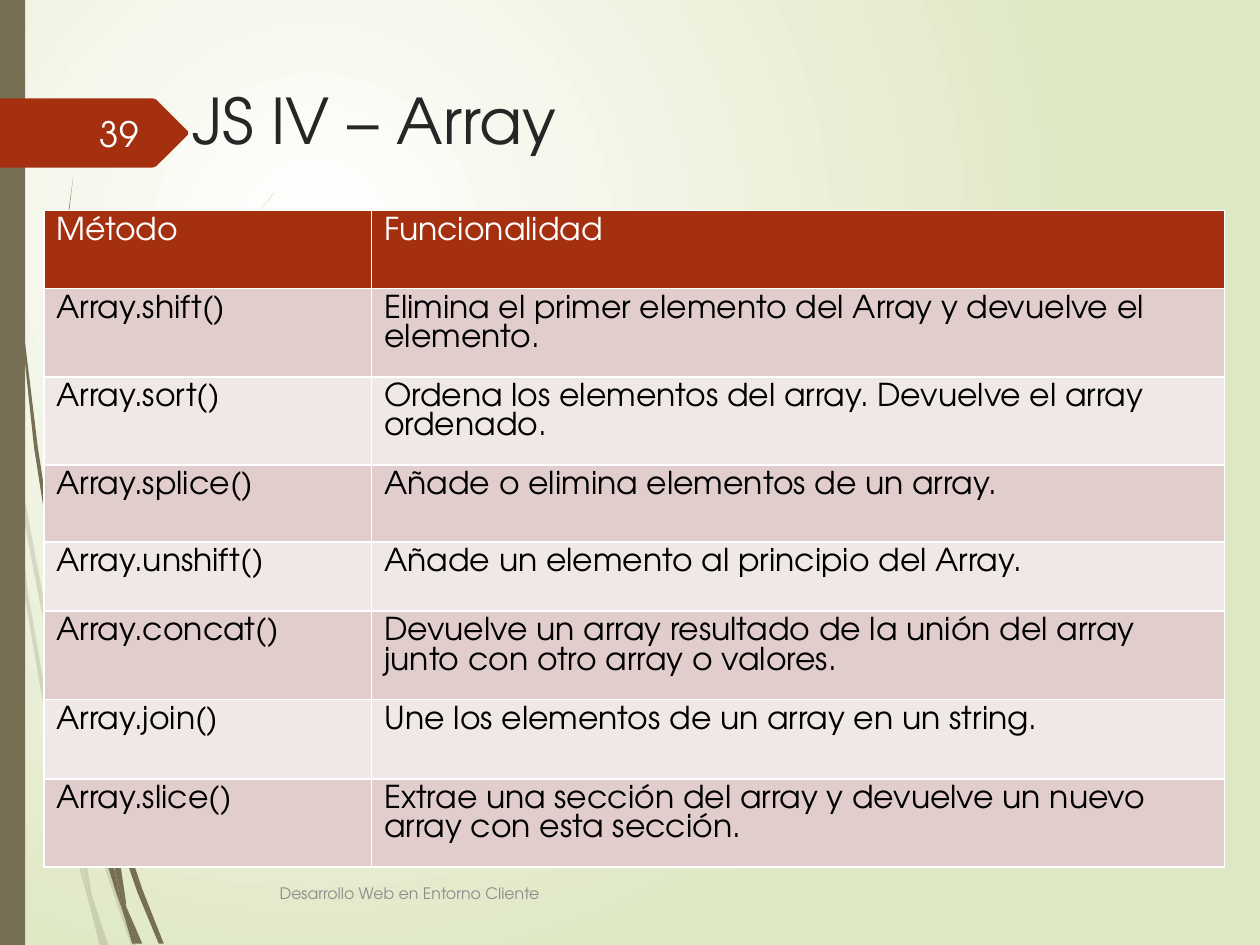
from lxml import etree
from pptx import Presentation
from pptx.dml.color import RGBColor
from pptx.enum import shapes, text
from pptx.oxml import parse_xml
from pptx.oxml.ns import qn
from pptx.util import Inches, Pt

FONT = "TeX Gyre Adventor"
OLIVE = RGBColor(0x76, 0x6F, 0x54)
RUST = RGBColor(0xA5, 0x30, 0x10)
WHITE = RGBColor(0xFF, 0xFF, 0xFF)
BLACK = RGBColor(0, 0, 0)
INK = RGBColor(0x26, 0x26, 0x26)
GREY = RGBColor(0x8C, 0x8C, 0x8C)
ROSE = RGBColor(0xE1, 0xCD, 0xCC)
PALE = RGBColor(0xF0, 0xE8, 0xE7)
LIME = RGBColor(0xDF, 0xE8, 0xC4)
NS = "http://schemas.openxmlformats.org/drawingml/2006/main"

deck = Presentation()
deck.slide_width, deck.slide_height = Inches(10), Inches(7.5)
slide = deck.slides.add_slide(deck.slide_layouts[6])

back = slide.background.fill
back.solid()
back.fore_color.rgb = LIME
flat = slide.background._cSld.find(".//" + qn("a:solidFill"))
flat.getparent().replace(flat, parse_xml(
    f'<a:gradFill xmlns:a="{NS}" rotWithShape="1"><a:gsLst>'
    f'<a:gs pos="0"><a:srgbClr val="{WHITE}"/></a:gs>'
    f'<a:gs pos="100000"><a:srgbClr val="{LIME}"/></a:gs></a:gsLst>'
    '<a:path path="circle"><a:fillToRect l="50000" t="50000" r="100000" b="100000"/></a:path>'
    '</a:gradFill>'))


def draw(points, color, alpha=100):
    pen = slide.shapes.build_freeform(Inches(points[0][0]), Inches(points[0][1]))
    pen.add_line_segments([(Inches(x), Inches(y)) for x, y in points[1:]])
    shape = pen.convert_to_shape()
    shape.shadow.inherit = False
    shape.line.fill.background()
    shape.fill.solid()
    shape.fill.fore_color.rgb = color
    if alpha < 100:
        tint = shape.fill._xPr.find(".//" + qn("a:srgbClr"))
        etree.SubElement(tint, qn("a:alpha")).set("val", str(alpha * 1000))


def write(words, box, size, color, anchor, align):
    frame = slide.shapes.add_textbox(*map(Inches, box)).text_frame
    frame.word_wrap = True
    frame.vertical_anchor = anchor
    frame.text = words
    frame.paragraphs[0].alignment = align
    font = frame.paragraphs[0].runs[0].font
    font.name, font.size, font.color.rgb = FONT, Pt(size), color


faint = [
    [(.08, 3.5), (.06, 3.22), (0, 2.82), (0, 2.99), (.07, 3.44)],
    [(.4, 5.22), (.59, 5.99), (.59, 5.86), (.43, 5.2), (.1, 3.45), (.12, 3.76)],
    [(.64, 6.07), (.61, 5.96), (.61, 6.1), (.85, 6.94), (1.04, 7.5), (1.08, 7.5), (.88, 6.92)],
    [(.83, 7.5), (.86, 7.5), (.73, 7.11)],
    [(.64, 6.83), (.48, 6.19), (.22, 4.69), (.12, 3.76), (.08, 3.5), (.19, 4.7),
     (.45, 6.21), (.64, 6.93), (.7, 7.14), (.69, 7.07)],
    [(.58, 5.99), (.6, 6.46), (.64, 6.83), (.67, 6.92), (.73, 7.11), (.72, 7.06),
     (.63, 6.46), (.61, 6.1), (.61, 6.08)],
    [(.61, 5.84), (.76, 4.62), (1.11, 3.49), (1.59, 2.45), (1.87, 1.98), (2.01, 1.75),
     (2.17, 1.54), (2.17, 1.53), (2.01, 1.75), (1.86, 1.97), (1.58, 2.44), (1.1, 3.48),
     (.75, 4.61), (.59, 5.84), (.59, 5.86), (.61, 5.96)],
    [(.7, 7.14), (.79, 7.5), (.82, 7.5)],
    [(.61, 6.08), (.61, 6.1), (.61, 5.96), (.59, 5.86), (.58, 5.99)],
    [(.67, 6.92), (.65, 6.83), (.69, 7.07), (.7, 7.14), (.82, 7.5), (.83, 7.5), (.73, 7.11)],
]
solid = [
    [(.05, 1.1), (.14, 2.33), (.27, 3.55), (.46, 4.77), (.47, 4.81), (.45, 4.57), (.45, 4.53),
     (.3, 3.55), (.15, 2.32), (.06, 1.09), (.04, .48), (.03, 0), (.02, 0), (.03, .48)],
    [(.73, 5.92), (.88, 6.45), (.88, 6.33), (.88, 6.31), (.77, 5.9), (.5, 4.72), (.53, 5.05)],
    [(.94, 6.49), (.91, 6.41), (.91, 6.56), (1.09, 7.08), (1.26, 7.49), (1.3, 7.49), (1.13, 7.06)],
    [(.91, 6.91), (.81, 6.57), (.6, 5.56), (.53, 5.05), (.47, 4.77), (.56, 5.57),
     (.77, 6.59), (.92, 7.08), (.97, 7.22), (.96, 7.17)],
    [(.5, 4.72), (.48, 4.53), (.44, 3.49), (.48, 2.45), (.52, 1.93), (.58, 1.41),
     (.51, 1.93), (.47, 2.45), (.43, 3.49), (.45, 4.49), (.49, 4.72)],
    [(1.1, 7.49), (1.13, 7.49), (1, 7.19)],
    [(.47, 4.77), (.53, 5.05), (.5, 4.72), (.49, 4.72), (.45, 4.49), (.45, 4.53)],
    [(.91, 6.33), (1.03, 5.52), (1.31, 4.76), (1.69, 4.06), (1.91, 3.74), (2.03, 3.59),
     (2.16, 3.44), (2.15, 3.44), (2.03, 3.58), (1.91, 3.73), (1.68, 4.05), (1.29, 4.74),
     (1.01, 5.51), (.88, 6.31), (.91, 6.41)],
    [(.97, 7.22), (1.05, 7.49), (1.08, 7.49)],
    [(.88, 6.45), (.91, 6.91), (.96, 7.06), (1, 7.19), (1, 7.16), (.91, 6.56), (.9, 6.51)],
    [(.88, 6.45), (.9, 6.51), (.91, 6.56), (.91, 6.41), (.88, 6.31), (.88, 6.33)],
    [(.96, 7.06), (.91, 6.91), (.96, 7.17), (.97, 7.22), (1.08, 7.49), (1.1, 7.49), (1, 7.19)],
]
for blade in faint:
    draw(blade, OLIVE, 20)
for blade in solid:
    draw(blade, OLIVE)

bar = slide.shapes.add_shape(shapes.MSO_SHAPE.RECTANGLE, 0, 0, Inches(.2), Inches(7.5))
bar.shadow.inherit = False
bar.fill.solid()
bar.fill.fore_color.rgb = OLIVE
bar.line.fill.background()

draw([(0, .78), (1.21, .78), (1.24, .79), (1.49, 1.04), (1.49, 1.07),
      (1.24, 1.32), (1.21, 1.33), (0, 1.33)], RUST)

TOP, MID = text.MSO_ANCHOR.TOP, text.MSO_ANCHOR.MIDDLE
LEFT, RIGHT = text.PP_ALIGN.LEFT, text.PP_ALIGN.RIGHT
write("JS IV – Array", (1.43, .6, 9, .87), 36, INK, TOP, LEFT)
write("Desarrollo Web en Entorno Cliente", (2.12, 6.89, 6.25, .4), 9, GREY, MID, LEFT)
write("39", (.56, .86, .64, .4), 20, WHITE, MID, RIGHT)

rows = [
    (.62, "Método", "Funcionalidad"),
    (.7, "Array.shift()", "Elimina el primer elemento del Array y devuelve el elemento."),
    (.59, "Array.sort()", "Ordena los elementos del array. Devuelve el array ordenado."),
    (.61, "Array.splice()", "Añade o elimina elementos de un array."),
    (.55, "Array.unshift()", "Añade un elemento al principio del Array."),
    (.63, "Array.concat()", "Devuelve un array resultado de la unión del array junto con otro array o valores."),
    (.63, "Array.join()", "Une los elementos de un array en un string."),
    (.63, "Array.slice()", "Extrae una sección del array y devuelve un nuevo array con esta sección."),
]
high = sum(row[0] for row in rows)
table = slide.shapes.add_table(len(rows), 2, Inches(.35), Inches(1.67), Inches(9.37), Inches(high)).table
table.columns[0].width, table.columns[1].width = Inches(2.6), Inches(6.77)
for i, (tall, *words) in enumerate(rows):
    table.rows[i].height = Inches(tall)
    for j, word in enumerate(words):
        cell = table.cell(i, j)
        cell.text = word
        font = cell.text_frame.paragraphs[0].runs[0].font
        font.name, font.size, font.bold = FONT, Pt(18), False
        font.color.rgb = BLACK if i else WHITE
        props = cell._tc.get_or_add_tcPr()
        for side in "LRTB":
            props.append(parse_xml(
                f'<a:ln{side} xmlns:a="{NS}" w="12700"><a:solidFill>'
                f'<a:srgbClr val="{WHITE}"/></a:solidFill></a:ln{side}>'))
        cell.fill.solid()
        cell.fill.fore_color.rgb = RUST if i == 0 else ROSE if i % 2 else PALE

deck.save("out.pptx")
